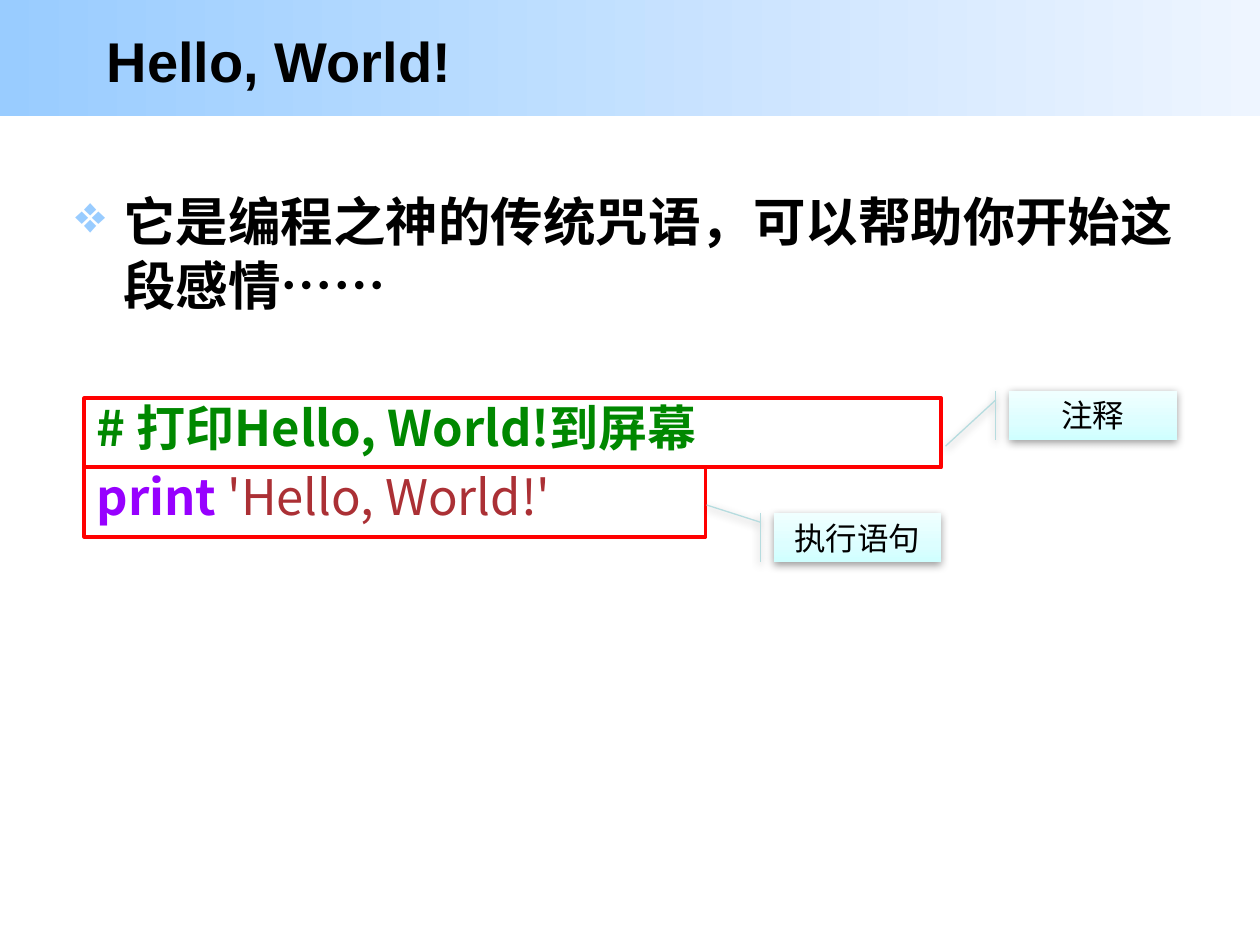
from copy import deepcopy
from pptx import Presentation, util as u
from pptx.dml.color import RGBColor
from pptx.enum import shapes, text
from pptx.oxml import parse_xml
from pptx.oxml.ns import nsdecls, qn

THEME = {
    "latin": "Arial", "cjk": "Noto Sans CJK SC",
    "title": 32, "body": 30, "code": 28, "label": 18,
    "black": "000000", "band": ("99CCFF", "EEF5FF"), "bullet": "99CCFF",
    "comment": "008800", "keyword": "9700FF", "string": "AB3035",
    "frame": "FF0000", "label_line": "B6DCDF",
    "label_fill": ("CFFFFF", "DDFEFF", "F0FFFF"),
}


def rgb(name):
    return RGBColor.from_string(THEME.get(name, name))


def add_run(p, words, font, size, color, bold=False):
    r = p.add_run()
    r.text = words
    r.font.name = THEME[font]
    r.font.size = u.Pt(THEME[size])
    r.font.bold = bold
    r.font.color.rgb = rgb(color)
    ea = parse_xml(f'<a:ea {nsdecls("a")} typeface="{THEME[font]}"/>')
    r.font._element.find(qn("a:latin")).addnext(ea)


prs = Presentation()
prs.slide_width, prs.slide_height = u.Inches(10), u.Inches(7.5)
s = prs.slides.add_slide(prs.slide_layouts[6])

band = s.shapes.add_shape(shapes.MSO_SHAPE.RECTANGLE, 0, 0, u.Inches(10), u.Inches(0.92))
band.shadow.inherit = False
band.line.fill.background()
band.fill.gradient()
band.fill.gradient_angle = 0
for stop, color in zip(band.fill.gradient_stops, THEME["band"]):
    stop.color.rgb = rgb(color)

title = s.shapes.add_textbox(u.Inches(0.75), u.Inches(0.14), u.Inches(8.14), u.Inches(0.67))
tf = title.text_frame
tf.word_wrap = True
tf.vertical_anchor = text.MSO_ANCHOR.MIDDLE
add_run(tf.paragraphs[0], "Hello, World!", "latin", "title", "black", True)

body = s.shapes.add_textbox(u.Inches(0.5), u.Inches(1.44), u.Inches(8.92), u.Inches(1.2))
tf = body.text_frame
tf.word_wrap = True
p = tf.paragraphs[0]
pPr = p._p.get_or_add_pPr()
pPr.set("marL", str(u.Inches(0.38)))
pPr.set("indent", str(-u.Inches(0.38)))
pPr.append(parse_xml(f'<a:buClr {nsdecls("a")}><a:srgbClr val="{THEME["bullet"]}"/></a:buClr>'))
pPr.append(parse_xml(f'<a:buChar {nsdecls("a")} char="❖"/>'))
p.line_spacing = u.Pt(36.6)
add_run(p, "它是编程之神的传统咒语，可以帮助你开始这段感情……", "cjk", "body", "black", True)

code_lines = [
    (6.8, [("# 打印Hello, World!到屏幕", "comment", True)]),
    (4.93, [("print ", "keyword", True), ("'Hello, World!'", "string", False)]),
]
for i, (width, parts) in enumerate(code_lines):
    sp = s.shapes.add_shape(shapes.MSO_SHAPE.RECTANGLE, u.Inches(0.67),
                            u.Inches(3.16 + 0.55 * i), u.Inches(width), u.Inches(0.55))
    sp.shadow.inherit = False
    sp.fill.background()
    sp.line.color.rgb = rgb("frame")
    sp.line.width = u.Pt(2.25)
    tf = sp.text_frame
    tf.vertical_anchor = text.MSO_ANCHOR.TOP
    tf.margin_top = tf.margin_bottom = 0
    p = tf.paragraphs[0]
    p.alignment = text.PP_ALIGN.LEFT
    p.line_spacing = u.Pt(33.3)
    for words, color, bold in parts:
        add_run(p, words, "cjk", "code", color, bold)

callouts = [
    ("执行语句", 6.14, 4.07, (0.19, -0.08, -0.16, -0.4)),
    ("注释", 8.01, 3.1, (0.19, -0.08, 1.13, -0.38)),
]
for words, left, top, adjustments in callouts:
    sp = s.shapes.add_shape(shapes.MSO_SHAPE.LINE_CALLOUT_1_ACCENT_BAR, u.Inches(left),
                            u.Inches(top), u.Inches(1.33), u.Inches(0.39))
    for i, value in enumerate(adjustments):
        sp.adjustments[i] = value
    sp.fill.gradient()
    sp.fill.gradient_angle = 90
    stops = sp._element.spPr.find(qn("a:gradFill")).find(qn("a:gsLst"))
    middle = deepcopy(stops[0])
    middle.set("pos", "35000")
    stops.insert(1, middle)
    for stop, color in zip(sp.fill.gradient_stops, THEME["label_fill"]):
        stop.color.rgb = rgb(color)
    sp.line.color.rgb = rgb("label_line")
    sp.line.width = u.Pt(0.75)
    sp.shadow.inherit = False
    sp._element.spPr.find(qn("a:effectLst")).append(parse_xml(
        f'<a:outerShdw {nsdecls("a")} blurRad="{u.Pt(5)}" dist="{u.Pt(1.6)}" dir="5400000" '
        'rotWithShape="0"><a:srgbClr val="000000"><a:alpha val="38000"/></a:srgbClr></a:outerShdw>'))
    tf = sp.text_frame
    tf.margin_top = tf.margin_bottom = 0
    tf.vertical_anchor = text.MSO_ANCHOR.MIDDLE
    p = tf.paragraphs[0]
    p.alignment = text.PP_ALIGN.CENTER
    add_run(p, words, "cjk", "label", "black")

prs.save("out.pptx")
